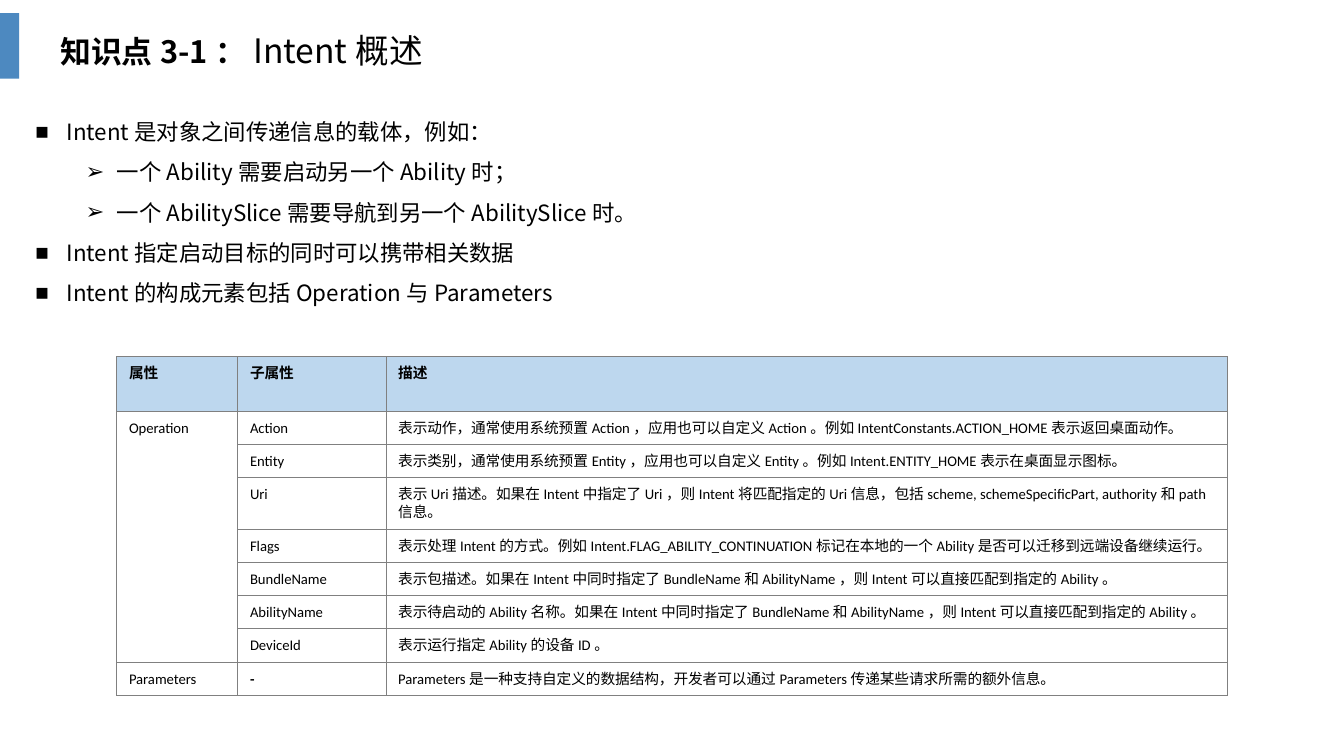
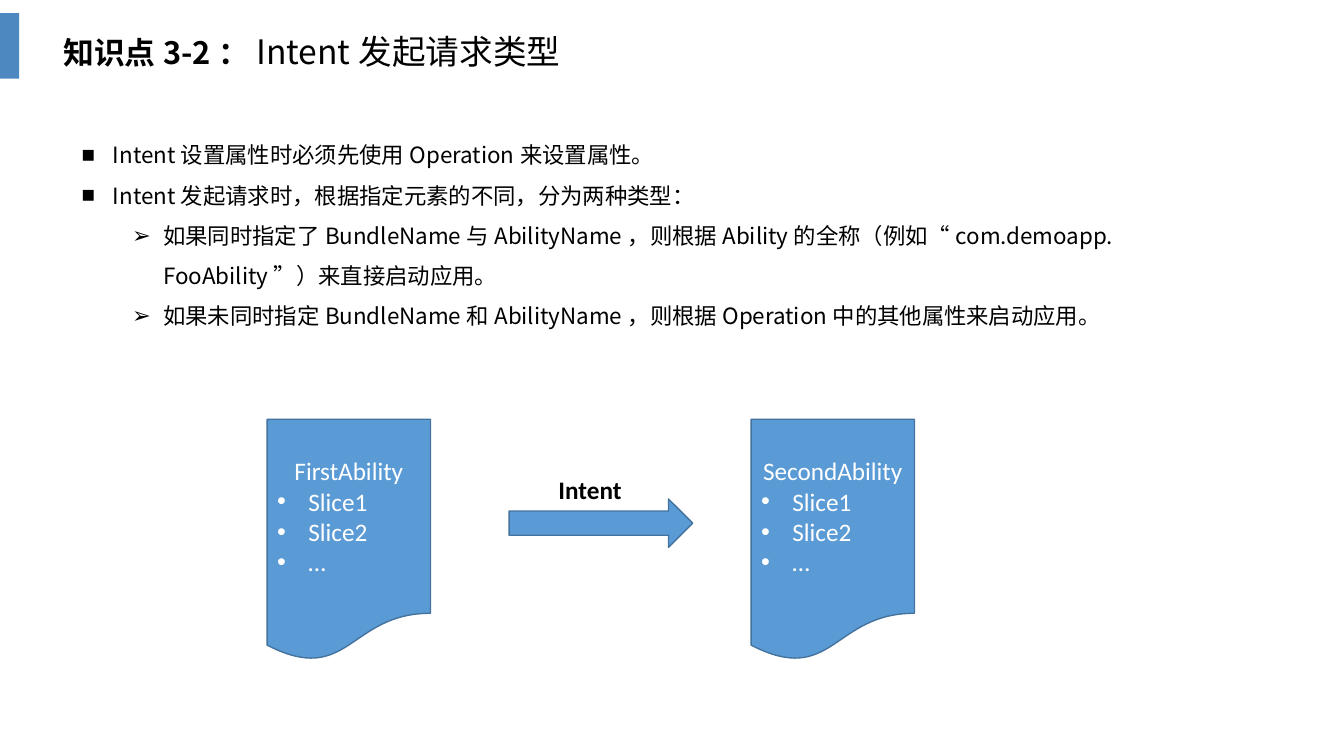
from dataclasses import dataclass

from lxml import etree
from pptx import Presentation
from pptx import util as u
from pptx.dml.color import RGBColor
from pptx.enum import shapes, text
from pptx.oxml.ns import qn


@dataclass(frozen=True)
class Theme:
    ink: str = "000000"
    paper: str = "FFFFFF"
    band: str = "2E75B6"
    block: str = "5B9BD5"
    block_line: str = "43739E"
    header: str = "BDD7EE"
    rule: str = "808080"
    cjk: str = "Noto Sans CJK SC"
    latin: str = "Calibri"
    topic_size: float = 22
    title_size: float = 24
    body_size: float = 16
    cell_size: float = 10.5
    diagram_size: float = 18


THEME = Theme()
BULLET_HANG = 0.31
BULLETS = (("■", 0.31), ("➢", 0.81))

INTENT_POINTS = [
    (0, "Intent是对象之间传递信息的载体，例如："),
    (1, "一个Ability需要启动另一个Ability时；"),
    (1, "一个AbilitySlice需要导航到另一个AbilitySlice时。"),
    (0, "Intent指定启动目标的同时可以携带相关数据"),
    (0, "Intent的构成元素包括Operation与Parameters"),
]
REQUEST_POINTS = [
    (0, "Intent设置属性时必须先使用Operation来设置属性。"),
    (0, "Intent发起请求时，根据指定元素的不同，分为两种类型："),
    (1, "如果同时指定了BundleName与AbilityName，则根据Ability的全称"
        "（例如“com.demoapp.FooAbility”）来直接启动应用。"),
    (1, "如果未同时指定BundleName和AbilityName，则根据Operation中的其他属性来启动应用。"),
]
ATTRIBUTES = [
    ("属性", "子属性", "描述"),
    ("Operation", "Action", "表示动作，通常使用系统预置Action，应用也可以自定义Action。"
     "例如IntentConstants.ACTION_HOME表示返回桌面动作。"),
    ("", "Entity", "表示类别，通常使用系统预置Entity，应用也可以自定义Entity。"
     "例如Intent.ENTITY_HOME表示在桌面显示图标。"),
    ("", "Uri", "表示Uri描述。如果在Intent中指定了Uri，则Intent将匹配指定的Uri信息，"
     "包括scheme, schemeSpecificPart, authority和path信息。"),
    ("", "Flags", "表示处理Intent的方式。例如Intent.FLAG_ABILITY_CONTINUATION"
     "标记在本地的一个Ability是否可以迁移到远端设备继续运行。"),
    ("", "BundleName", "表示包描述。如果在Intent中同时指定了BundleName和AbilityName，"
     "则Intent可以直接匹配到指定的Ability。"),
    ("", "AbilityName", "表示待启动的Ability名称。如果在Intent中同时指定了BundleName和AbilityName，"
     "则Intent可以直接匹配到指定的Ability。"),
    ("", "DeviceId", "表示运行指定Ability的设备ID。"),
    ("Parameters", "-", "Parameters是一种支持自定义的数据结构，"
     "开发者可以通过Parameters传递某些请求所需的额外信息。"),
]
COLUMN_WIDTHS = (1.2, 1.47, 8.34)
ROW_HEIGHTS = (0.54, 0.33, 0.33, 0.51, 0.33, 0.33, 0.33, 0.33, 0.33)


def rgb(color):
    return RGBColor.from_string(color)


def add_xml(parent, tag, **attributes):
    return etree.SubElement(parent, qn(tag), attributes)


def place(part, box):
    part.left, part.top, part.width, part.height = map(u.Inches, box)


def write(paragraph, words, *, size, font=THEME.cjk, color=THEME.ink, bold=False):
    run = paragraph.add_run()
    run.text = words
    run.font.size = u.Pt(size)
    run.font.bold = bold
    run.font.name = font
    run.font.color.rgb = rgb(color)
    add_xml(run.font._element, "a:ea", typeface=font)


def set_bullet(paragraph, mark, margin):
    properties = paragraph._p.get_or_add_pPr()
    properties.set("marL", str(u.Inches(margin)))
    properties.set("indent", str(-u.Inches(BULLET_HANG)))
    add_xml(properties, "a:buFont", typeface="Arial")
    add_xml(properties, "a:buChar", char=mark)


def paragraphs(frame, count):
    """Return count paragraphs, reusing the one the frame starts with."""
    return [frame.paragraphs[0]] + [frame.add_paragraph() for _ in range(count - 1)]


def add_block(slide, kind, box, fill, line=None):
    block = slide.shapes.add_shape(kind, *map(u.Inches, box))
    block.shadow.inherit = False
    block.fill.solid()
    block.fill.fore_color.rgb = rgb(fill)
    if line:
        block.line.color.rgb = rgb(line)
        block.line.width = u.Pt(1)
    else:
        block.line.fill.background()
    return block


def add_layout_band(layout, slide):
    """Move a translucent title band from the slide to its layout."""
    band = add_block(slide, shapes.MSO_SHAPE.RECTANGLE, (0, 0.13, 0.19, 0.65), THEME.band)
    color = band.element.spPr.find(qn("a:solidFill"))[0]
    add_xml(color, "a:alpha", val="85000")
    band.element.nvSpPr.cNvPr.set("id", "20")
    layout.shapes.element.insert(2, band.element)


def fill_title(slide, box, topic, subject):
    title = slide.shapes.title
    place(title, box)
    frame = title.text_frame
    frame.vertical_anchor = text.MSO_ANCHOR.TOP
    frame.auto_size = text.MSO_AUTO_SIZE.SHAPE_TO_FIT_TEXT
    heading = frame.paragraphs[0]
    heading.alignment = text.PP_ALIGN.LEFT
    write(heading, topic, size=THEME.topic_size, bold=True)
    write(heading, subject, size=THEME.title_size)


def fill_body(slide, box, points):
    body = slide.placeholders[1]
    place(body, box)
    frame = body.text_frame
    frame.auto_size = text.MSO_AUTO_SIZE.SHAPE_TO_FIT_TEXT
    for paragraph, (level, words) in zip(paragraphs(frame, len(points)), points):
        paragraph.level = level
        set_bullet(paragraph, *BULLETS[level])
        paragraph.line_spacing = 1.5
        paragraph.space_before = u.Pt(0)
        write(paragraph, words, size=THEME.body_size)


def format_cell(cell, words, fill, bold):
    cell.margin_left = cell.margin_right = u.Inches(0.12)
    cell.margin_top = u.Inches(0.08)
    cell.margin_bottom = u.Inches(0.02)
    properties = cell._tc.get_or_add_tcPr()
    for side in ("a:lnL", "a:lnR", "a:lnT", "a:lnB"):
        border = add_xml(properties, side, w=str(u.Pt(0.75)))
        add_xml(add_xml(border, "a:solidFill"), "a:srgbClr", val=THEME.rule)
    cell.fill.solid()
    cell.fill.fore_color.rgb = rgb(fill)
    if words:
        write(cell.text_frame.paragraphs[0], words, size=THEME.cell_size,
              font=THEME.latin, bold=bold)


def add_attribute_table(slide, left, top):
    size = (sum(COLUMN_WIDTHS), sum(ROW_HEIGHTS))
    table = slide.shapes.add_table(len(ATTRIBUTES), len(COLUMN_WIDTHS),
                                   *map(u.Inches, (left, top, *size))).table
    table.horz_banding = False
    for column, width in zip(table.columns, COLUMN_WIDTHS):
        column.width = u.Inches(width)
    for index, (height, entries) in enumerate(zip(ROW_HEIGHTS, ATTRIBUTES)):
        table.rows[index].height = u.Inches(height)
        is_header = index == 0
        for cell, words in zip(table.rows[index].cells, entries):
            format_cell(cell, words, THEME.header if is_header else THEME.paper,
                        bold=is_header or words == "-")
    table.cell(1, 0).merge(table.cell(7, 0))


def add_ability(slide, box, name):
    ability = add_block(slide, shapes.MSO_SHAPE.FLOWCHART_DOCUMENT, box,
                        THEME.block, THEME.block_line)
    frame = ability.text_frame
    frame.vertical_anchor = text.MSO_ANCHOR.MIDDLE
    lines = (name, "Slice1", "Slice2", "…")
    for index, (paragraph, words) in enumerate(zip(paragraphs(frame, len(lines)), lines)):
        paragraph.alignment = text.PP_ALIGN.LEFT if index else text.PP_ALIGN.CENTER
        if index:
            set_bullet(paragraph, "•", BULLET_HANG)
        write(paragraph, words, size=THEME.diagram_size, font=THEME.latin, color=THEME.paper)


def add_intent_diagram(slide, left, top):
    for offset, name in ((0, "FirstAbility"), (4.8, "SecondAbility")):
        add_ability(slide, (left + offset, top, 1.62, 2.4), name)
    add_block(slide, shapes.MSO_SHAPE.RIGHT_ARROW, (left + 2.4, top + 0.79, 1.82, 0.48),
              THEME.block, THEME.block_line)
    label_box = (left + 2.79, top + 0.5, 0.83, 0.4)
    label = slide.shapes.add_textbox(*map(u.Inches, label_box)).text_frame
    label.word_wrap = False
    label.auto_size = text.MSO_AUTO_SIZE.SHAPE_TO_FIT_TEXT
    write(label.paragraphs[0], "Intent", size=THEME.diagram_size, font=THEME.latin, bold=True)


def build_overview(slide):
    fill_title(slide, (0.5, 0.25, 7.09, 0.5), "知识点3-1：", "Intent概述")
    fill_body(slide, (0.25, 0.99, 12.64, 2.12), INTENT_POINTS)
    add_attribute_table(slide, 1.16, 3.54)


def build_request_types(slide):
    fill_title(slide, (0.53, 0.26, 7.09, 0.5), "知识点3-2：", "Intent发起请求类型")
    fill_body(slide, (0.71, 1.22, 11.92, 2.48), REQUEST_POINTS)
    add_intent_diagram(slide, 2.65, 4.16)


def main():
    deck = Presentation()
    deck.slide_width, deck.slide_height = u.Inches(13.33), u.Inches(7.5)
    layout = deck.slide_layouts[1]
    overview, request_types = (deck.slides.add_slide(layout) for _ in range(2))
    add_layout_band(layout, overview)
    build_overview(overview)
    build_request_types(request_types)
    deck.save("out.pptx")


if __name__ == "__main__":
    main()
